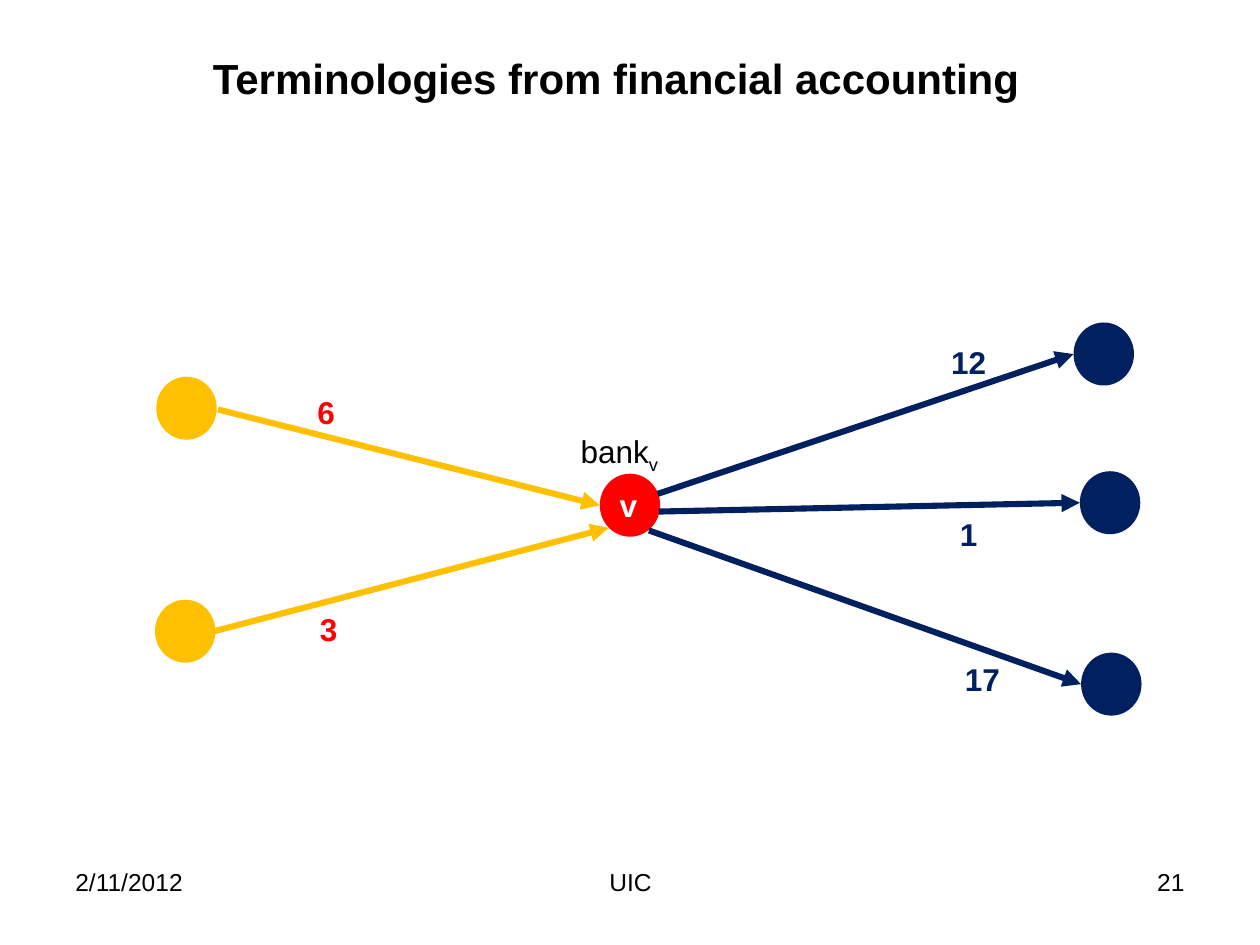
from dataclasses import dataclass

from lxml.etree import SubElement
from pptx import Presentation
from pptx.dml.color import RGBColor
from pptx.enum.shapes import MSO_CONNECTOR, MSO_SHAPE
from pptx.enum.text import MSO_AUTO_SIZE, PP_ALIGN
from pptx.oxml.ns import qn
from pptx.util import Inches, Pt


@dataclass(frozen=True)
class Theme:
    """Colours, font and sizes of the slide."""
    font: str = "Arial"
    text: RGBColor = RGBColor(0x00, 0x00, 0x00)
    light: RGBColor = RGBColor(0xFF, 0xFF, 0xFF)
    bank: RGBColor = RGBColor(0xFF, 0x00, 0x00)
    inflow: RGBColor = RGBColor(0xFF, 0xC0, 0x00)
    outflow: RGBColor = RGBColor(0x00, 0x20, 0x60)
    title_size: Pt = Pt(24)
    label_size: Pt = Pt(18)
    footer_size: Pt = Pt(14)
    line_width: Pt = Pt(3.5)


THEME = Theme()
NODE_SIZE = (0.48, 0.5)
LABEL_HEIGHT = 0.4
BANK_NODE = (4.76, 3.76)
INFLOWS = [
    ((1.24, 2.99), (1.73, 3.25), (4.76, 4.01), "6", (2.42, 3.07, 0.34)),
    ((1.23, 4.76), (1.7, 5.01), (4.83, 4.19), "3", (2.44, 4.79, 0.34)),
]
OUTFLOWS = [
    ((8.52, 2.56), (5.22, 3.92), (8.52, 2.81), "12", (7.45, 2.67, 0.48)),
    ((8.57, 3.74), (5.23, 4.06), (8.57, 3.99), "1", (7.52, 4.04, 0.34)),
    ((8.58, 5.18), (5.15, 4.21), (8.58, 5.43), "17", (7.56, 5.19, 0.48)),
]
FOOTERS = [
    ("2/11/2012", 0.5, 2.33, PP_ALIGN.LEFT),
    ("UIC", 3.42, 3.17, PP_ALIGN.CENTER),
    ("21", 7.17, 2.33, PP_ALIGN.RIGHT),
]


def add_run(p, text, size, color, bold=False):
    """Append a formatted run to a paragraph."""
    r = p.add_run()
    r.text = text
    fmt = {"name": THEME.font, "size": size, "bold": bold}
    for name, value in fmt.items():
        setattr(r.font, name, value)
    r.font.color.rgb = color
    return r


def add_text(s, text, box, size, color=THEME.text, bold=False,
             align=PP_ALIGN.LEFT, wrap=True):
    """Add a text box and return its paragraph."""
    tf = s.shapes.add_textbox(*map(Inches, box)).text_frame
    tf.word_wrap = wrap
    tf.auto_size = MSO_AUTO_SIZE.NONE if wrap else MSO_AUTO_SIZE.SHAPE_TO_FIT_TEXT
    p = tf.paragraphs[0]
    p.alignment = align
    add_run(p, text, size, color, bold)
    return p


def add_label(s, text, place, color, bold=True):
    """Add a one-line diagram label at left, top, width."""
    return add_text(s, text, (*place, LABEL_HEIGHT), THEME.label_size, color,
                    bold, wrap=False)


def add_node(s, place, color):
    """Add a filled node without an outline."""
    sp = s.shapes.add_shape(MSO_SHAPE.OVAL, *map(Inches, place + NODE_SIZE))
    sp.shadow.inherit = False
    sp.fill.solid()
    sp.fill.fore_color.rgb = color
    sp.line.fill.background()


def add_arrow(s, start, end, color):
    """Add a straight arrow from start to end."""
    cxn = s.shapes.add_connector(MSO_CONNECTOR.STRAIGHT,
                                 *map(Inches, start + end))
    cxn.line.color.rgb = color
    cxn.line.width = THEME.line_width
    SubElement(cxn.line._get_or_add_ln(), qn("a:tailEnd"), type="triangle")
    SubElement(cxn._element.spPr, qn("a:effectLst"))


def add_flows(s, flows, color, label_color):
    """Add nodes with their arrows and amounts."""
    for node, start, end, amount, place in flows:
        add_node(s, node, color)
        add_arrow(s, start, end, color)
        add_label(s, amount, place, label_color)


def add_bank(s):
    """Add the central bank node with its name."""
    add_node(s, BANK_NODE, THEME.bank)
    add_label(s, "v", (4.82, 3.81, 0.34), THEME.light)
    p = add_label(s, "bank", (4.51, 3.38, 0.83), THEME.text, bold=False)
    r = add_run(p, "v", THEME.label_size, THEME.text)
    r.font._element.set("baseline", "-25000")


def main():
    """Build and save the slide."""
    prs = Presentation()
    prs.slide_width, prs.slide_height = Inches(10), Inches(7.5)
    s = prs.slides.add_slide(prs.slide_layouts[6])
    add_text(s, "Terminologies from financial accounting",
             (0.39, 0.37, 9, 1.04), THEME.title_size, bold=True,
             align=PP_ALIGN.CENTER)
    for text, left, width, align in FOOTERS:
        add_text(s, text, (left, 6.83, width, 0.52), THEME.footer_size,
                 align=align)
    add_bank(s)
    add_flows(s, INFLOWS, THEME.inflow, THEME.bank)
    add_flows(s, OUTFLOWS, THEME.outflow, THEME.outflow)
    prs.save("out.pptx")


if __name__ == "__main__":
    main()
